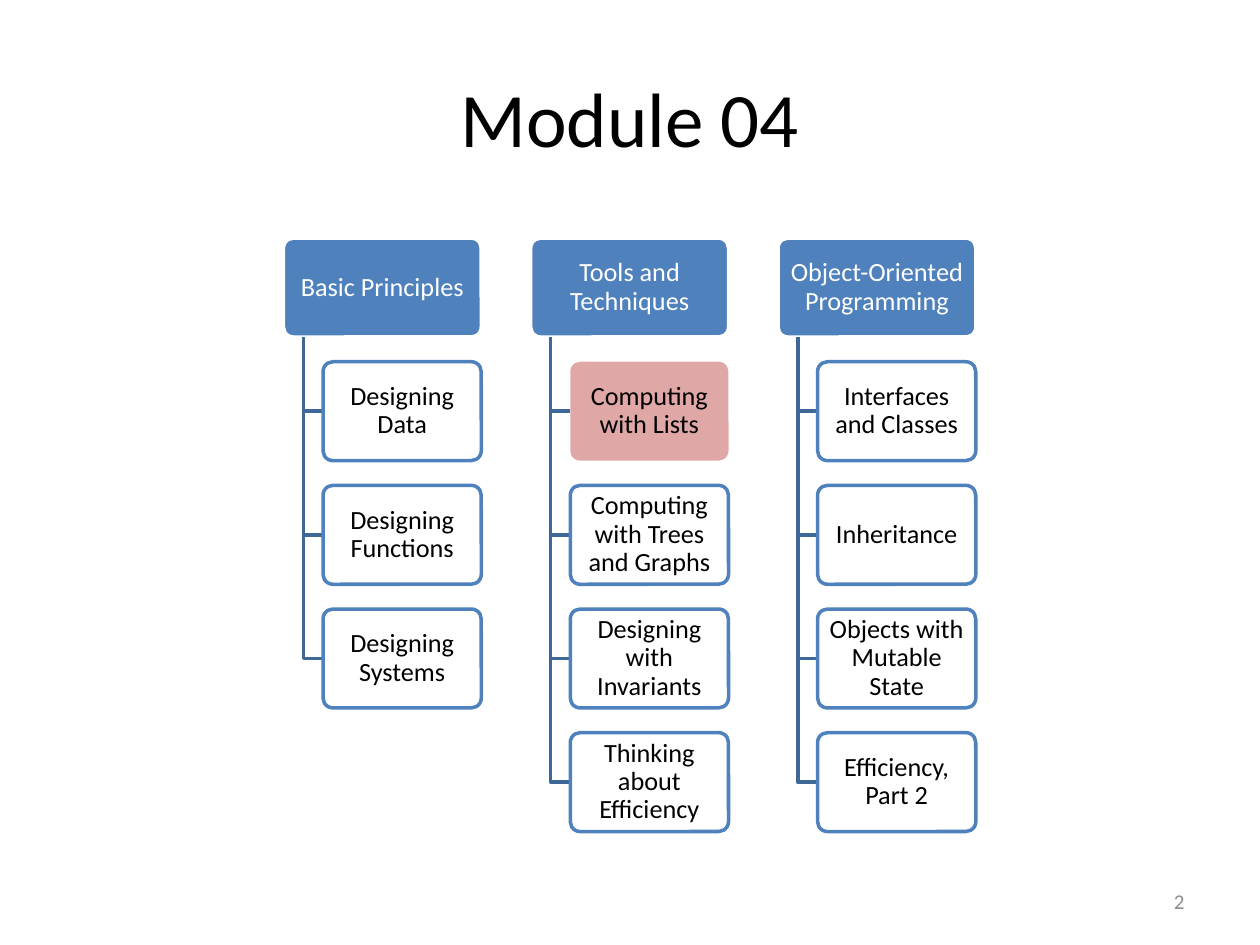
from lxml import etree
from pptx import Presentation
from pptx.dml.color import RGBColor
from pptx.enum.shapes import MSO_SHAPE
from pptx.enum.text import MSO_ANCHOR, PP_ALIGN
from pptx.oxml.ns import qn
from pptx.util import Inches, Pt

ROUNDED = MSO_SHAPE.ROUNDED_RECTANGLE
MIDDLE = MSO_ANCHOR.MIDDLE
CENTER, RIGHT = PP_ALIGN.CENTER, PP_ALIGN.RIGHT

WHITE = RGBColor(0xFF, 0xFF, 0xFF)
BLACK = RGBColor(0x00, 0x00, 0x00)
GRAY = RGBColor(0x8C, 0x8C, 0x8C)
BLUE = RGBColor(0x4F, 0x81, 0xBD)
DARK_BLUE = RGBColor(0x3F, 0x67, 0x97)
RED = RGBColor(0xC0, 0x50, 0x4D)

FONT = "Calibri"
LINE_WIDTH = Pt(2)

# The grid follows from the heading box: gaps are a quarter of a box.
GRID_LEFT, GRID_TOP = Inches(2.25), Inches(1.89)
HEAD_WIDTH = Inches(1.57)
BOX_HEIGHT = HEAD_WIDTH * 0.5
COLUMN_STEP = HEAD_WIDTH * 1.25
ROW_STEP = BOX_HEIGHT * 1.25
TRUNK_OFFSET = HEAD_WIDTH * 0.1
ITEM_OFFSET = HEAD_WIDTH * 0.2
ITEM_WIDTH = HEAD_WIDTH * 0.8

CURRENT_TOPIC = "Computing with Lists"
COLUMNS = [
    ("Basic Principles",
     ["Designing Data", "Designing Functions", "Designing Systems"]),
    ("Tools and Techniques",
     [CURRENT_TOPIC, "Computing with Trees and Graphs",
      "Designing with Invariants", "Thinking about Efficiency"]),
    ("Object-Oriented Programming",
     ["Interfaces and Classes", "Inheritance",
      "Objects with Mutable State", "Efficiency, Part 2"]),
]


def write_text(shape, text, size, color, align=CENTER, **frame_format):
    frame = shape.text_frame
    frame_format = {"word_wrap": True, "vertical_anchor": MIDDLE, **frame_format}
    for name, value in frame_format.items():
        setattr(frame, name, value)
    para = frame.paragraphs[0]
    para.alignment = align
    span = para.add_run()
    span.text = text
    for name, value in {"name": FONT, "size": Pt(size)}.items():
        setattr(span.font, name, value)
    span.font.color.rgb = color
    return para


def add_label(page, left, top, width, height, text, size, color, align):
    box = page.shapes.add_textbox(
        Inches(left), Inches(top), Inches(width), Inches(height))
    write_text(box, text, size, color, align)


def add_box(page, left, top, width, text, fill, line, color, opacity=100):
    """Add a rounded box with centred text; line None leaves out the outline."""
    box = page.shapes.add_shape(
        ROUNDED, int(left), int(top), int(width), int(BOX_HEIGHT))
    box.adjustments[0] = 0.1
    box.shadow.inherit = False
    box.fill.solid()
    box.fill.fore_color.rgb = fill
    if opacity < 100:
        shade = box.fill._xPr.find(f"{qn('a:solidFill')}/{qn('a:srgbClr')}")
        etree.SubElement(shade, qn("a:alpha"), val=str(opacity * 1000))
    if line is None:
        box.line.fill.background()
    else:
        box.line.color.rgb = line
        box.line.width = LINE_WIDTH
    para = write_text(box, text, 15, color,
                      margin_left=Inches(0.03), margin_right=Inches(0.03),
                      margin_top=Inches(0.02), margin_bottom=Inches(0.02))
    para.line_spacing = 0.9


def add_branch(page, trunk, top, bottom, end):
    """Draw an angled line down the trunk and across to an item."""
    builder = page.shapes.build_freeform(int(trunk), int(top))
    builder.add_line_segments(
        [(int(trunk), int(bottom)), (int(end), int(bottom))], close=False)
    branch = builder.convert_to_shape()
    branch.shadow.inherit = False
    branch.fill.background()
    branch.line.color.rgb = DARK_BLUE
    branch.line.width = LINE_WIDTH


def add_column(page, column, heading, topics):
    left = GRID_LEFT + column * COLUMN_STEP
    item_left = left + ITEM_OFFSET
    add_box(page, left, GRID_TOP, HEAD_WIDTH, heading, BLUE, WHITE, WHITE)
    for row, topic in enumerate(topics, start=1):
        top = GRID_TOP + row * ROW_STEP
        add_branch(page, left + TRUNK_OFFSET, GRID_TOP + BOX_HEIGHT,
                   top + BOX_HEIGHT / 2, item_left)
        if topic == CURRENT_TOPIC:
            fill, line, opacity = RED, None, 50
        else:
            fill, line, opacity = WHITE, BLUE, 90
        add_box(page, item_left, top, ITEM_WIDTH, topic,
                fill, line, BLACK, opacity)


def main():
    deck = Presentation()
    deck.slide_width, deck.slide_height = Inches(10), Inches(7.5)
    page = deck.slides.add_slide(deck.slide_layouts[6])
    add_label(page, 0.5, 0.3, 9, 1.25, "Module 04", 44, BLACK, CENTER)
    add_label(page, 7.17, 6.95, 2.33, 0.4, "2", 12, GRAY, RIGHT)
    for column, (heading, topics) in enumerate(COLUMNS):
        add_column(page, column, heading, topics)
    deck.save("out.pptx")


if __name__ == "__main__":
    main()
